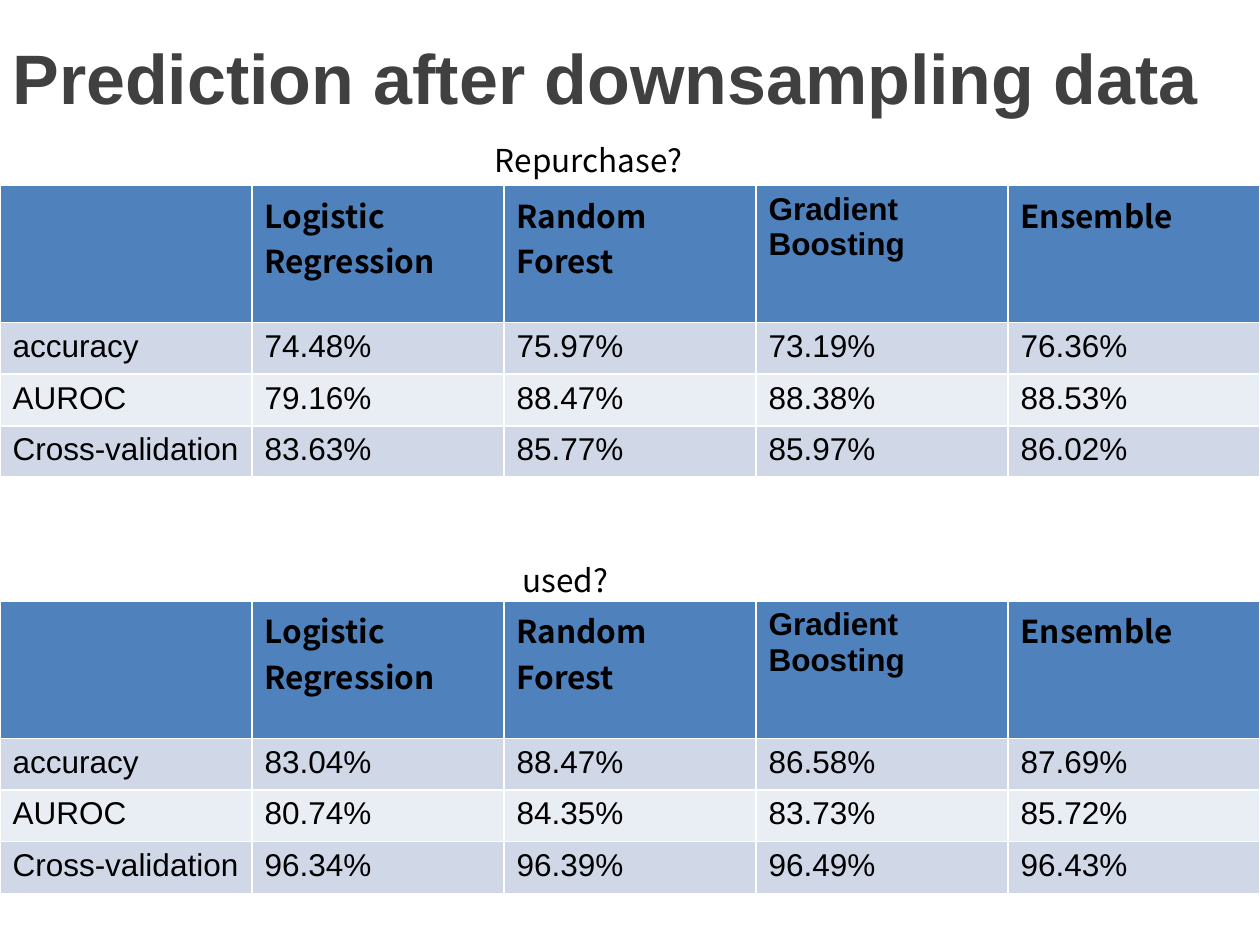
from pptx import Presentation
from pptx.dml.color import RGBColor
from pptx.enum.text import MSO_ANCHOR as Anchor, MSO_AUTO_SIZE as AutoSize, PP_ALIGN as Align
from pptx.util import Inches, Pt

WIDTH, HEIGHT = Inches(10), Inches(7.5)
COLUMNS = 5
HEADER = ["", "Logistic Regression", "Random Forest", "Gradient Boosting", "Ensemble"]
REPURCHASE = [
    ["accuracy", "74.48%", "75.97%", "73.19%", "76.36%"],
    ["AUROC", "79.16%", "88.47%", "88.38%", "88.53%"],
    ["Cross-validation", "83.63%", "85.77%", "85.97%", "86.02%"],
]
USED = [
    ["accuracy", "83.04%", "88.47%", "86.58%", "87.69%"],
    ["AUROC", "80.74%", "84.35%", "83.73%", "85.72%"],
    ["Cross-validation", "96.34%", "96.39%", "96.49%", "96.43%"],
]


def color(value):
    return RGBColor.from_string(value)


class Deck:
    body_font = "Arial"
    header_font = "Noto Sans CJK SC"
    label_font = "Noto Sans CJK KR"
    ink = "000000"
    title_ink = "404040"
    header_fill = "4F81BD"
    bands = ("D0D8E8", "E9EDF4")
    size = 18

    def __init__(self):
        self.prs = Presentation()
        self.prs.slide_width, self.prs.slide_height = WIDTH, HEIGHT
        self.s = self.prs.slides.add_slide(self.prs.slide_layouts[5])

    def box(self, x, y, w, h):
        return int(x * WIDTH), int(y * HEIGHT), int(w * WIDTH), int(h * HEIGHT)

    def style(self, p, font, size, ink, bold=False):
        p.alignment = Align.LEFT
        p.font.name, p.font.size, p.font.bold = font, Pt(size), bold
        p.font.color.rgb = color(ink)

    def title(self, text, x, y, w, h):
        sp = self.s.shapes.title
        sp.left, sp.top, sp.width, sp.height = self.box(x, y, w, h)
        tf = sp.text_frame
        tf.text = text
        tf.auto_size, tf.vertical_anchor = AutoSize.NONE, Anchor.MIDDLE
        self.style(tf.paragraphs[0], self.body_font, 40, self.title_ink, True)

    def label(self, text, x, y, w, h):
        tf = self.s.shapes.add_textbox(*self.box(x, y, w, h)).text_frame
        tf.word_wrap = True
        tf.text = text
        self.style(tf.paragraphs[0], self.label_font, self.size, self.ink)

    def cell(self, cell, text, fill, font, bold):
        cell.fill.solid()
        cell.fill.fore_color.rgb = color(fill)
        cell.text = text
        self.style(cell.text_frame.paragraphs[0], font, self.size, self.ink, bold)

    def table(self, rows, y, heights):
        frame = self.s.shapes.add_table(
            len(rows) + 1, COLUMNS, *self.box(0, y, 1, sum(heights)))
        table = frame.table
        for column in table.columns:
            column.width = WIDTH // COLUMNS
        for row, height in zip(table.rows, heights):
            row.height = int(height * HEIGHT)
        for c, text in enumerate(HEADER):
            font = self.body_font if text == "Gradient Boosting" else self.header_font
            self.cell(table.cell(0, c), text, self.header_fill, font, True)
        for r, values in enumerate(rows):
            for c, text in enumerate(values):
                self.cell(table.cell(r + 1, c), text, self.bands[r % 2],
                          self.body_font, False)


def main():
    deck = Deck()
    header, row, short_row = 1.09 / 7.5, 0.41 / 7.5, 0.37 / 7.5
    deck.title("Prediction after downsampling data", 0, 0.02 / 7.5, 1, 1.17 / 7.5)
    deck.label("Repurchase?", 0.383, 1.07 / 7.5, 0.263, 0.4 / 7.5)
    deck.table(USED, 4.77 / 7.5, [header, row, row, row])
    deck.table(REPURCHASE, 1.47 / 7.5, [header, row, row, short_row])
    deck.label("used?", 0.405, 4.4 / 7.5, 0.095, 0.4 / 7.5)
    deck.prs.save("out.pptx")


if __name__ == "__main__":
    main()
